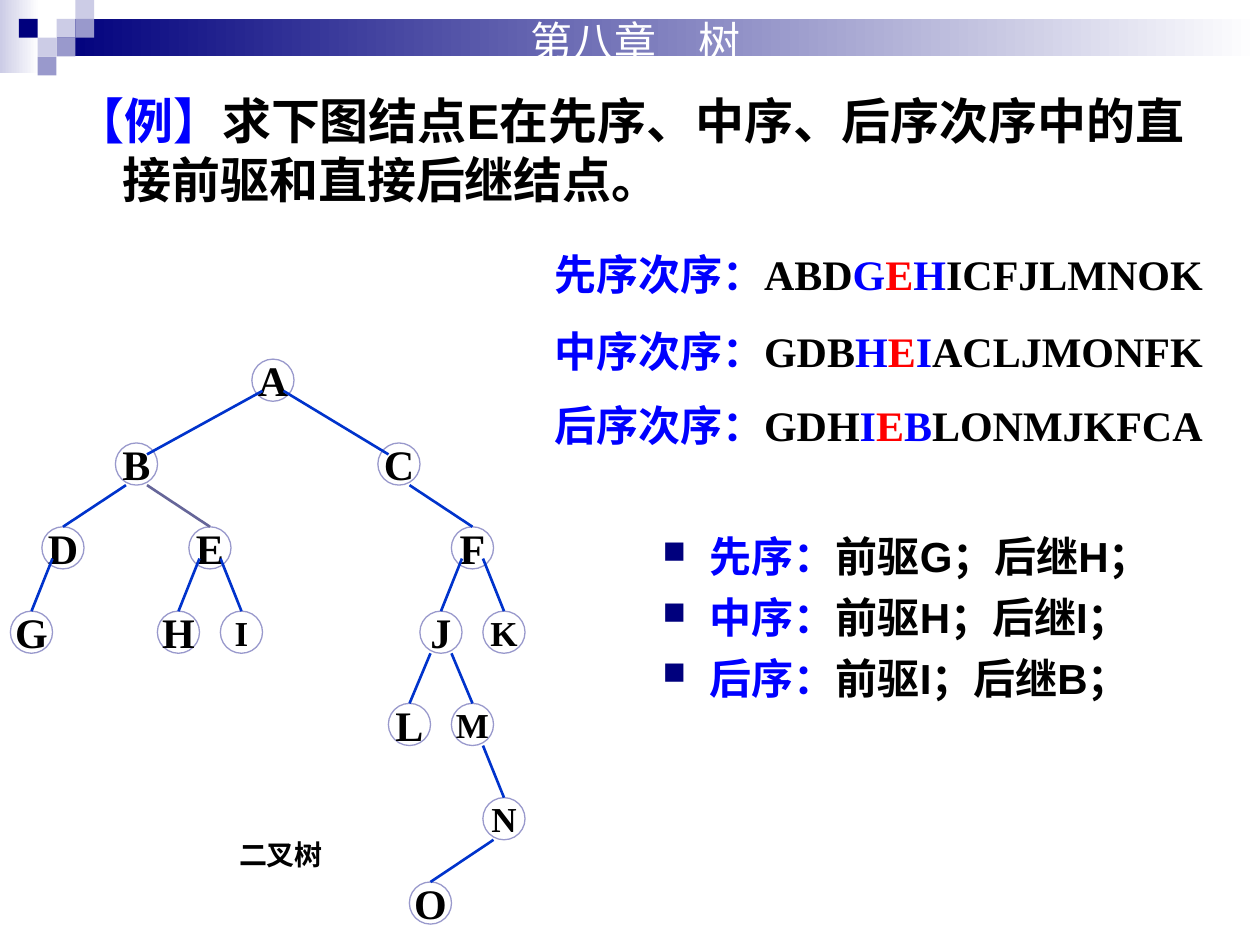
from lxml import etree
from pptx import Presentation
from pptx.dml.color import RGBColor
from pptx.enum.shapes import MSO_CONNECTOR, MSO_SHAPE
from pptx.enum.text import MSO_ANCHOR, MSO_AUTO_SIZE, PP_ALIGN
from pptx.oxml.ns import qn
from pptx.util import Cm, Pt

RECT, OVAL = MSO_SHAPE.RECTANGLE, MSO_SHAPE.OVAL
STRAIGHT = MSO_CONNECTOR.STRAIGHT
TOP, MIDDLE = MSO_ANCHOR.TOP, MSO_ANCHOR.MIDDLE
LEFT, CENTER = PP_ALIGN.LEFT, PP_ALIGN.CENTER
NO_AUTOFIT = MSO_AUTO_SIZE.NONE

SANS, SERIF, CJK = "Arial", "Times New Roman", "Noto Sans CJK SC"
BLACK, WHITE, BLUE, RED = "000000", "FFFFFF", "0000FF", "FF0000"
NAVY, LILAC, PALE = "00007D", "9999CC", "CCCCE6"
EDGE, EDGE_TO_E = "0033CC", "666699"

# Tree geometry in cm: columns are a twelfth of an inch apart
COLUMN = 2.54 / 12
NODE = 0.85
LEVEL_TOPS = [7.24, 8.93, 10.62, 12.32, 14.18, 16.08, 17.78]
EDGE_STARTS = [0.64, NODE, 0.64, NODE, NODE, NODE]

# node: (level, column of its centre, parent)
TREE = {
    "A": (0, 26, None), "B": (1, 13, "A"), "C": (1, 38, "A"),
    "D": (2, 6, "B"), "E": (2, 20, "B"), "F": (2, 45, "C"),
    "G": (3, 3, "D"), "H": (3, 17, "E"), "I": (3, 23, "E"),
    "J": (3, 42, "F"), "K": (3, 48, "F"),
    "L": (4, 39, "J"), "M": (4, 45, "J"),
    "N": (5, 48, "M"), "O": (6, 41, "N"),
}
SMALL_LETTERS = "IKMN"

# order name, then the sequence before E's neighbours, the neighbours, the rest
ORDERS = [
    (4.88, "先序次序：", "ABD", "GEH", "ICFJLMNOK"),
    (6.43, "中序次序：", "GDB", "HEI", "ACLJMONFK"),
    (7.92, "后序次序：", "GDH", "IEB", "LONMJKFCA"),
]
ANSWERS = [
    ("先序：", "前驱G；后继H；"),
    ("中序：", "前驱H；后继I；"),
    ("后序：", "前驱I；后继B；"),
]


def rgb(value):
    return RGBColor.from_string(value)


def add_text(paragraph, text, size=24, font=SERIF, color=BLACK, bold=True):
    run = paragraph.add_run()
    run.text = text
    run.font.size, run.font.bold, run.font.name = Pt(size), bold, font
    run.font.color.rgb = rgb(color)
    east_asian = etree.SubElement(run._r.get_or_add_rPr(), qn("a:ea"))
    east_asian.set("typeface", CJK)


def add_box(slide, left, top, width, height):
    frame = slide.shapes.add_textbox(Cm(left), Cm(top), Cm(width), Cm(height)).text_frame
    frame.word_wrap = True
    return frame


def hang(paragraph, bullet=None):
    """Hanging indent, with a coloured bullet if one is given."""
    props = paragraph._p.get_or_add_pPr()
    props.set("marL", str(Cm(0.95)))
    props.set("indent", str(-Cm(0.95)))
    if bullet:
        color = etree.SubElement(props, qn("a:buClr"))
        etree.SubElement(color, qn("a:srgbClr")).set("val", NAVY)
        etree.SubElement(props, qn("a:buSzPct")).set("val", "75000")
        etree.SubElement(props, qn("a:buChar")).set("char", bullet)


def add_block(slide, left, top, width, height, start, end=None):
    """Borderless rectangle, plain or fading from start to end."""
    block = slide.shapes.add_shape(RECT, Cm(left), Cm(top), Cm(width), Cm(height))
    block.shadow.inherit = False
    block.line.fill.background()
    if end is None:
        block.fill.solid()
        block.fill.fore_color.rgb = rgb(start)
        return
    block.fill.gradient()
    block.fill.gradient_angle = 0
    for stop, color, position in zip(block.fill.gradient_stops, (start, end), (0, 1)):
        stop.color.rgb = rgb(color)
        stop.position = position


def add_banner(slide):
    add_block(slide, 0, 0, 0.79, 1.47, PALE, WHITE)
    add_block(slide, 1.14, 0.38, 24.26, 0.76, NAVY, WHITE)
    # checkerboard of small squares
    side = 0.38
    for column, row, color in [(3, 1, PALE), (4, 0, PALE), (4, 1, LILAC), (2, 2, PALE),
                               (1, 1, NAVY), (3, 2, LILAC), (2, 3, LILAC)]:
        add_block(slide, column * side, row * side, side, side, color)


def add_title(slide):
    title = slide.shapes.title
    title.left, title.top, title.width, title.height = Cm(10.44), Cm(0.18), Cm(6.15), Cm(1.27)
    frame = title.text_frame
    frame.auto_size, frame.vertical_anchor = NO_AUTOFIT, TOP
    frame.paragraphs[0].alignment = LEFT
    add_text(frame.paragraphs[0], "第八章　树", font=CJK, color=WHITE, bold=False)


def add_node(slide, letter):
    level, column, _ = TREE[letter]
    node = slide.shapes.add_shape(OVAL, Cm(column * COLUMN - NODE / 2),
                                  Cm(LEVEL_TOPS[level]), Cm(NODE), Cm(NODE))
    node.shadow.inherit = False
    node.fill.solid()
    node.fill.fore_color.rgb = rgb(WHITE)
    node.line.color.rgb = rgb(LILAC)
    node.line.width = Pt(0.75)
    frame = node.text_frame
    frame.word_wrap, frame.vertical_anchor = False, MIDDLE
    frame.paragraphs[0].alignment = CENTER
    add_text(frame.paragraphs[0], letter, size=20 if letter in SMALL_LETTERS else 24)


def add_edge(slide, child):
    level, column, parent = TREE[child]
    if parent is None:
        return
    parent_level, parent_column, _ = TREE[parent]
    side = 1 if column > parent_column else -1
    end_column, end_y = column, LEVEL_TOPS[level]
    if level == 1:  # the root's edges end on the inner shoulder
        end_column, end_y = column - side, end_y + 0.23
    edge = slide.shapes.add_connector(
        STRAIGHT, Cm((parent_column + side) * COLUMN),
        Cm(LEVEL_TOPS[parent_level] + EDGE_STARTS[parent_level]),
        Cm(end_column * COLUMN), Cm(end_y))
    edge.line.color.rgb = rgb(EDGE_TO_E if child == "E" else EDGE)
    edge.line.width = Pt(1.5)
    etree.SubElement(edge._element.spPr, qn("a:effectLst"))


def add_question(slide):
    question = add_box(slide, 1.27, 1.7, 22.86, 3).paragraphs[0]
    question.space_before = Pt(7)
    hang(question)
    add_text(question, "【例】", size=28, font=SANS, color=BLUE)
    add_text(question, "求下图结点E在先序、中序、后序次序中的直接前驱和直接后继结点。", size=28, font=SANS)


def add_order(slide, top, name, before, neighbours, after):
    order = add_box(slide, 10.92, top, 13.89, 1.27).paragraphs[0]
    order.space_before = Pt(15)
    add_text(order, name, color=BLUE)
    add_text(order, before)
    for letter in neighbours:
        add_text(order, letter, color=RED if letter == "E" else BLUE)
    add_text(order, after)


def add_answers(slide):
    frame = add_box(slide, 13.11, 10.57, 11.61, 3.71)
    for i, (name, answer) in enumerate(ANSWERS):
        line = frame.add_paragraph() if i else frame.paragraphs[0]
        line.space_before = Pt(6)
        hang(line, bullet="■")
        add_text(line, name, font=SANS, color=BLUE)
        add_text(line, answer, font=SANS)


def main():
    prs = Presentation()
    prs.slide_width, prs.slide_height = Cm(25.4), Cm(19.05)
    slide = prs.slides.add_slide(prs.slide_layouts[5])
    add_banner(slide)
    add_title(slide)
    # the title is the first shape, so lift it above the banner
    slide.shapes._spTree.append(slide.shapes.title._element)
    add_question(slide)
    # binary tree
    for letter in TREE:
        add_node(slide, letter)
    for letter in TREE:
        add_edge(slide, letter)
    caption = add_box(slide, 2.39, 16.76, 6.55, 0.94).paragraphs[0]
    caption.alignment, caption.space_before = CENTER, Pt(10)
    add_text(caption, "二叉树", size=16)
    # traversal orders and answers
    for order in ORDERS:
        add_order(slide, *order)
    add_answers(slide)
    prs.save("out.pptx")


if __name__ == "__main__":
    main()
